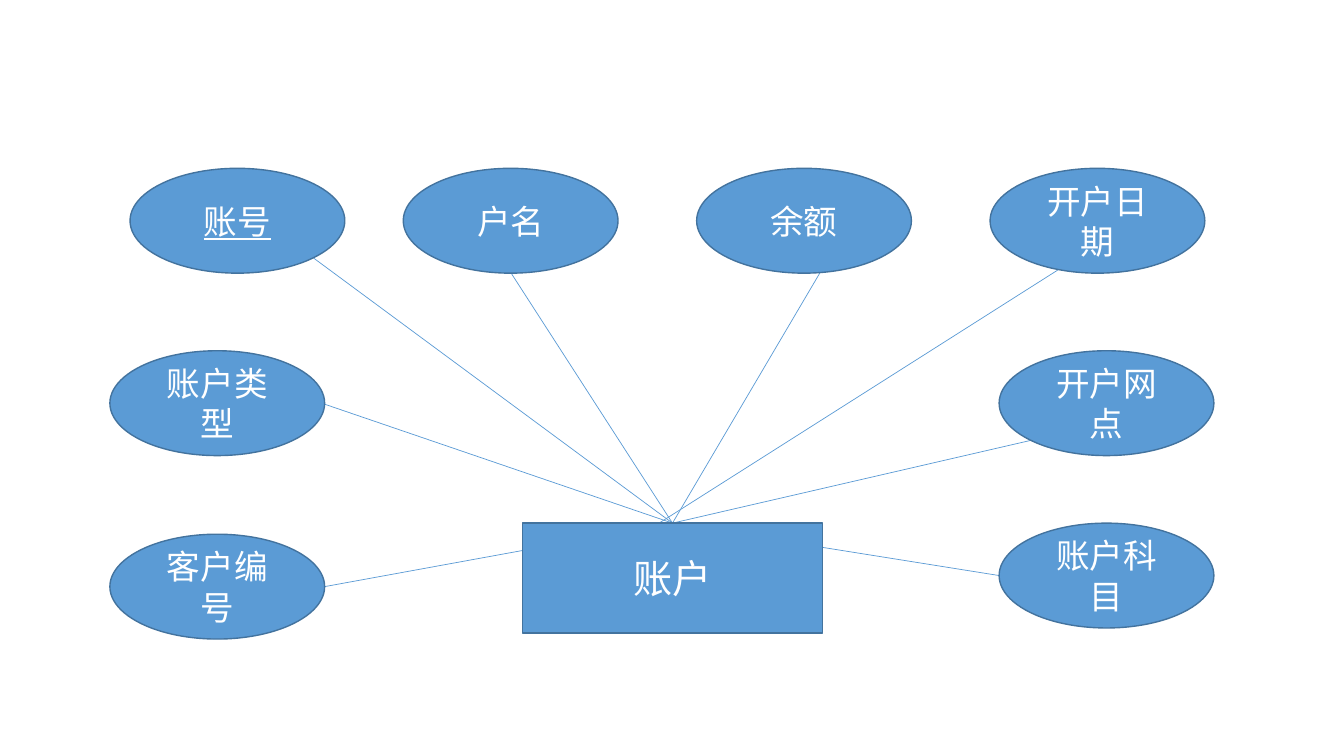
from pptx import Presentation, util as u
from pptx.dml.color import RGBColor
from pptx.enum import shapes, text
from lxml import etree

BLUE = RGBColor(0x5B, 0x9B, 0xD5)
OUTLINE = RGBColor(0x43, 0x73, 0x9E)
WHITE = RGBColor(0xFF, 0xFF, 0xFF)
DRAWING_NS = "http://schemas.openxmlformats.org/drawingml/2006/main"


class Diagram:
    """Entity diagram style on one slide."""

    font = "Calibri"

    def __init__(self, slide):
        self.shapes = slide.shapes

    def link(self, start, end):
        line = self.shapes.add_connector(
            shapes.MSO_CONNECTOR.STRAIGHT, *map(u.Inches, start + end))
        line.line.color.rgb = BLUE
        line.line.width = u.Pt(0.5)
        etree.SubElement(line._element.spPr, f"{{{DRAWING_NS}}}effectLst")

    def node(self, kind, box, label, size, underline=None):
        node = self.shapes.add_shape(kind, *map(u.Inches, box))
        node.shadow.inherit = False
        node.fill.solid()
        node.fill.fore_color.rgb = BLUE
        node.line.color.rgb = OUTLINE
        node.line.width = u.Pt(1)
        frame = node.text_frame
        frame.word_wrap = True
        frame.vertical_anchor = text.MSO_ANCHOR.MIDDLE
        paragraph = frame.paragraphs[0]
        paragraph.text = label
        paragraph.alignment = text.PP_ALIGN.CENTER
        font = paragraph.font
        font.name, font.size, font.underline = self.font, u.Pt(size), underline
        font.color.rgb = WHITE

    def entity(self, label, box):
        self.node(shapes.MSO_SHAPE.RECTANGLE, box, label, 28)

    def attribute(self, label, left, top, is_key=False):
        self.node(shapes.MSO_SHAPE.OVAL, (left, top, 2.13, 1.04), label, 24,
                  underline=is_key or None)


prs = Presentation()
prs.slide_width, prs.slide_height = u.Inches(13.33), u.Inches(7.5)
diagram = Diagram(prs.slides.add_slide(prs.slide_layouts[6]))

# Grid of the attributes around the entity
TOP_ROW, MIDDLE_ROW, BOTTOM_ROW = 1.67, 3.48, 5.19
LEFT_SIDE, RIGHT_SIDE = 1.09, 9.91
HUB = (6.67, 5.19)  # top centre of the entity

# Attribute: label, left, top, link start, link end
attributes = [
    ("账号", 1.29, TOP_ROW, (3.11, 2.56), HUB),
    ("户名", 4, TOP_ROW, (5.07, 2.71), HUB),
    ("余额", 6.91, TOP_ROW, (8.16, 2.66), HUB),
    ("开户日期", 9.82, TOP_ROW, (10.49, 2.68), (6.49, 5.22)),
    ("开户网点", RIGHT_SIDE, MIDDLE_ROW, (10.22, 4.37), HUB),
    ("账户类型", LEFT_SIDE, MIDDLE_ROW, (3.22, 4.01), HUB),
    ("账户科目", RIGHT_SIDE, BOTTOM_ROW, (9.91, 5.71), (6.65, 5.19)),
    ("客户编号", LEFT_SIDE, 5.3, (3.22, 5.82), HUB),
]

# Links lie behind the nodes
for *_, start, end in attributes:
    diagram.link(start, end)

# Entity and its attributes
diagram.entity("账户", (5.18, 5.19, 2.98, 1.09))
for label, left, top, *_ in attributes:
    diagram.attribute(label, left, top, is_key=label == "账号")

prs.save("out.pptx")
